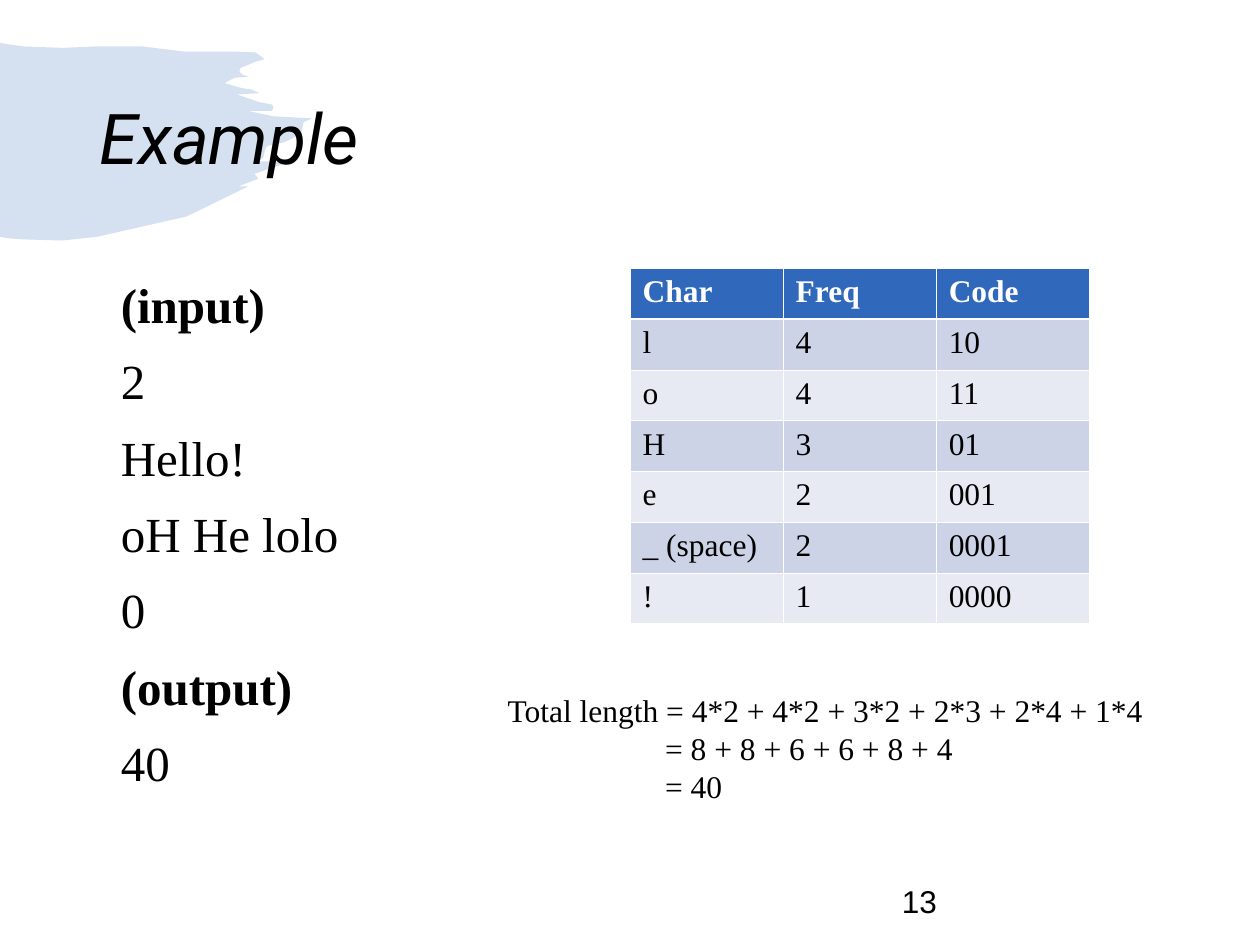
from pptx import Presentation
from pptx.dml.color import RGBColor as Color
from pptx.enum.text import MSO_ANCHOR as Anchor
from pptx.oxml.ns import qn
from pptx.util import Pt
from lxml.etree import SubElement

SERIF = "Times New Roman"
BLUE, WHITE, BLACK = "3068BC", "FFFFFF", "000000"
BANDS = ("CCD3E7", "E7EAF3")
BRUSH_OUTLINE = [
    (0, 24.5), (3.6, 25.2), (13.7, 26.6), (36, 27.4), (54.7, 26.6), (81.4, 26.6),
    (105.1, 29.5), (133.9, 29.5), (146, 30), (151.2, 33.8), (146.2, 35.3),
    (137.5, 38.9), (136.8, 41), (138.2, 42.5), (141.8, 43.9), (134, 44.5),
    (128.2, 47.5), (133.2, 49), (138.2, 50.4), (143.3, 51.1), (148.3, 53.3),
    (135.4, 54), (141.8, 56.2), (147.6, 58.3), (151.2, 59), (155.5, 59.8),
    (156.2, 61.2), (155.5, 63.4), (153.4, 63.4), (141.8, 63.4), (156, 66.5),
    (178.6, 67.7), (173.5, 69.8), (172.1, 76.3), (165.6, 79.9), (162, 81.4),
    (152.6, 83.5), (151.2, 86.4), (150.5, 90), (147.6, 92.2), (166.3, 92.2),
    (145.4, 99.4), (147.6, 102.2), (136.1, 106.6), (141.8, 106.6), (106.6, 123.8),
    (55.4, 135.4), (35.3, 137.5), (12.2, 136.8), (3.6, 136.1), (0, 135.4),
]
CODES = [
    ("Char", "Freq", "Code"),
    ("l", "4", "10"),
    ("o", "4", "11"),
    ("H", "3", "01"),
    ("e", "2", "001"),
    ("_ (space)", "2", "0001"),
    ("!", "1", "0000"),
]
SAMPLE = ["(input)", "2", "Hello!", "oH He lolo", "0", "(output)", "40"]
TOTAL = [
    "Total length = 4*2 + 4*2 + 3*2 + 2*3 + 2*4 + 1*4",
    "= 8 + 8 + 6 + 6 + 8 + 4",
    "= 40",
]


def color(value):
    return Color.from_string(value)


def write(para, text, size=18, font=SERIF, fill=BLACK, bold=False, italic=False,
          before=0, spacing=None, indent=0):
    span = para.add_run()
    span.text = text
    span.font.size = Pt(size)
    span.font.name = font
    span.font.bold = bold
    span.font.italic = italic
    span.font.color.rgb = color(fill)
    para.space_before = Pt(before)
    if spacing:
        para.line_spacing = spacing
    if indent:
        para._p.get_or_add_pPr().set("marL", str(Pt(indent)))


def add_text(page, left, top, width, height, anchor=Anchor.TOP):
    box = page.shapes.add_textbox(Pt(left), Pt(top), Pt(width), Pt(height))
    frame = box.text_frame
    frame.word_wrap = True
    frame.vertical_anchor = anchor
    return frame


def add_lines(frame, lines):
    for index, (text, style) in enumerate(lines):
        para = frame.add_paragraph() if index else frame.paragraphs[0]
        write(para, text, **style)


def add_brush(page):
    points = [(Pt(x), Pt(y)) for x, y in BRUSH_OUTLINE]
    builder = page.shapes.build_freeform(*points[0], scale=1.0)
    builder.add_line_segments(points[1:], close=True)
    brush = builder.convert_to_shape()
    brush.shadow.inherit = False
    brush.line.fill.background()
    brush.fill.solid()
    brush.fill.fore_color.rgb = color(BLUE)
    tint = brush._element.spPr.find(qn("a:solidFill"))[0]
    SubElement(tint, qn("a:alpha"), val="20000")


def style_cell(cell, fill, edges):
    properties = cell._tc.get_or_add_tcPr()
    for side, width in edges.items():
        line = SubElement(properties, qn(f"a:ln{side}"), w=str(Pt(width)))
        paint = SubElement(line, qn("a:solidFill"))
        SubElement(paint, qn("a:srgbClr"), val=WHITE)
    cell.fill.solid()
    cell.fill.fore_color.rgb = color(fill)


def add_code_table(page, left, top, column_width, row_height):
    rows, columns = len(CODES), len(CODES[0])
    table = page.shapes.add_table(rows, columns, Pt(left), Pt(top),
                                  Pt(column_width * columns),
                                  Pt(row_height * rows)).table
    for column in table.columns:
        column.width = Pt(column_width)
    for i, values in enumerate(CODES):
        table.rows[i].height = Pt(row_height)
        header = i == 0
        edges = {"L": 0.45, "R": 0.45, "T": 1.47 if i == 1 else 0.45,
                 "B": 1.47 if header else 0.45}
        for j, value in enumerate(values):
            cell = table.cell(i, j)
            style_cell(cell, BLUE if header else BANDS[(i - 1) % 2], edges)
            write(cell.text_frame.paragraphs[0], value, bold=header,
                  fill=WHITE if header else BLACK)


def main():
    deck = Presentation()
    deck.slide_width, deck.slide_height = Pt(720), Pt(540)
    page = deck.slides.add_slide(deck.slide_layouts[6])

    add_brush(page)
    title = add_text(page, 50, 28.8, 621, 104.4, anchor=Anchor.MIDDLE)
    add_lines(title, [("Example", dict(size=40, font="Roboto", italic=True, spacing=0.9))])

    sample = add_text(page, 62, 153.4, 384, 361)
    add_lines(sample, [(text, dict(size=28, bold=text.startswith("("), before=10,
                                   spacing=Pt(33.6))) for text in SAMPLE])

    add_code_table(page, 360, 153.4, 87.5, 29)

    number = add_text(page, 508.3, 500.4, 162, 28.8)
    add_lines(number, [("13", dict(font="Arial"))])

    total = add_text(page, 283, 391.7, 404.6, 72)
    add_lines(total, [(text, dict(spacing=Pt(21.5), indent=90 if text.startswith("=") else 0))
                      for text in TOTAL])

    deck.save("out.pptx")


if __name__ == "__main__":
    main()
